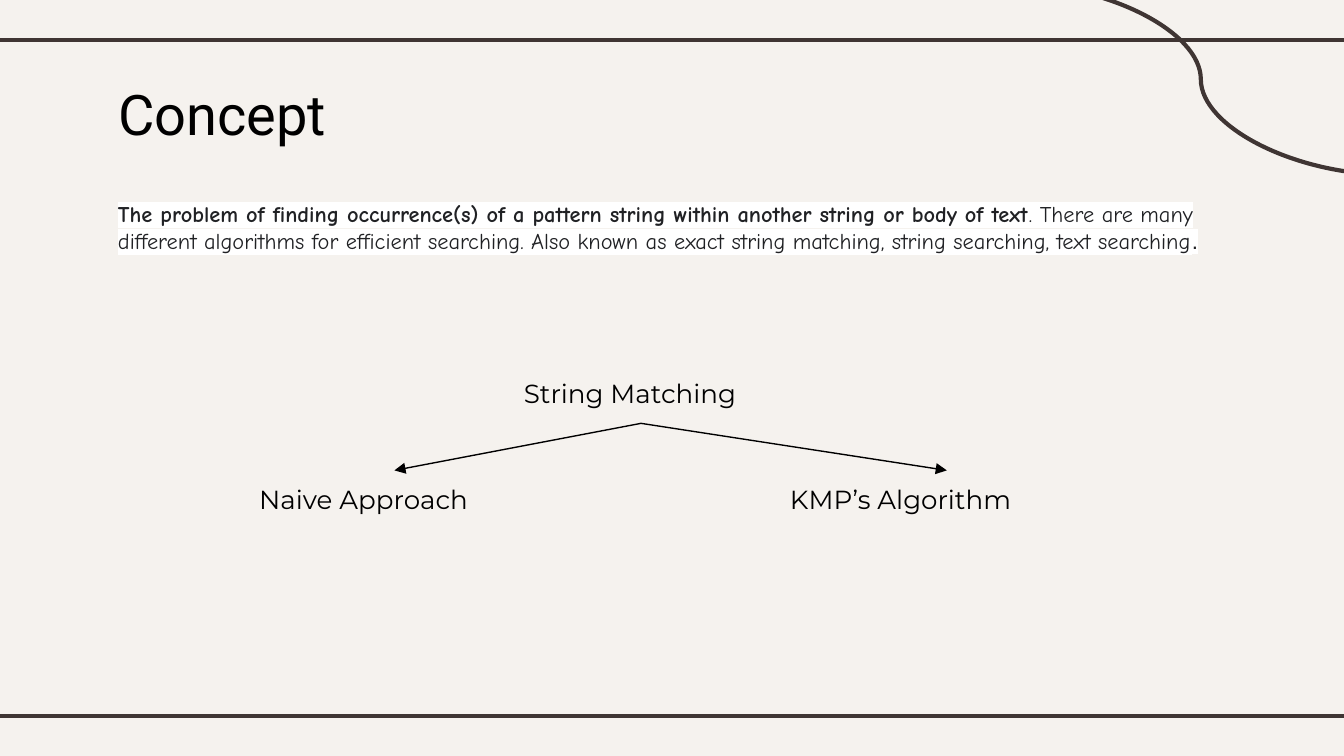
from pptx import Presentation
from pptx.dml.color import RGBColor
from pptx.enum.shapes import MSO_CONNECTOR as LINK
from pptx.enum.text import MSO_ANCHOR as ANCHOR
from pptx.oxml.ns import qn
from pptx.util import Inches, Pt
from lxml.etree import SubElement, Element

COLORS = {
    "background": "F5F2EE",
    "rule": "3F3533",
    "text": "000000",
    "body": "202124",
    "highlight": "FFFFFF",
}


def color(name):
    return RGBColor.from_string(COLORS[name])


def add_span(para, text, font="Montserrat", size=14, fill="text", bold=False, highlight=None):
    span = para.add_run()
    span.text = text
    span.font.name = font
    span.font.size = Pt(size)
    span.font.bold = bold
    span.font.color.rgb = color(fill)
    if highlight:
        mark = Element(qn("a:highlight"))
        SubElement(mark, qn("a:srgbClr"), val=COLORS[highlight])
        span.font._element.find(qn("a:solidFill")).addnext(mark)


def add_text(page, left, top, width, height, spans, **text_format):
    """Add a text box; spans is a list of (text, format overrides)."""
    box = page.shapes.add_textbox(Inches(left), Inches(top), Inches(width), Inches(height))
    frame = box.text_frame
    frame.word_wrap = True
    frame.vertical_anchor = ANCHOR.TOP
    frame.margin_left = frame.margin_right = Inches(0.1)
    frame.margin_top = frame.margin_bottom = Inches(0.1)
    for text, overrides in spans:
        add_span(frame.paragraphs[0], text, **{**text_format, **overrides})
    return box


def add_line(page, start, end, kind=LINK.STRAIGHT, stroke="rule", weight=2.25, arrow=False):
    line = page.shapes.add_connector(kind, *(Inches(value) for value in (*start, *end)))
    line.line.color.rgb = color(stroke)
    line.line.width = Pt(weight)
    if arrow:
        SubElement(line.line._get_or_add_ln(), qn("a:tailEnd"), type="triangle")
    SubElement(line._element.spPr, qn("a:effectLst"))
    return line


def add_frame(page, width):
    """Draw the two horizontal rules and the curve in the top right corner."""
    overhang = 0.08
    for y in (0.3, 5.33):
        add_line(page, (-overhang, y), (width + overhang, y))
    add_line(page, (width - 2.47, -0.12), (width + 0.34, 1.3), kind=LINK.CURVE)


def add_concept(page, left, top, width):
    add_text(page, left, top, 5.15, 0.63, [("Concept", {})], font="Roboto", size=30)
    add_text(
        page, left, top + 0.9, width, 3.6,
        [
            ("The problem of finding occurrence(s) of a pattern string within "
             "another string or body of text", {"bold": True}),
            (". There are many different algorithms for efficient searching. Also known as "
             "exact string matching, string searching, text searching", {}),
            (".", {"font": "Arial"}),
        ],
        font="Comic Neue", size=12, fill="body", highlight="highlight",
    )


def add_tree(page, left, top):
    """Draw the topic with an arrow down to each of its two methods."""
    label_height = 0.44
    root = add_text(page, left + 1.97, top, 1.94, label_height, [("String Matching", {})])
    methods = (("Naive Approach", 0, 2.21), ("KMP’s Algorithm", 3.95, 2.53))
    for name, offset, width in methods:
        method = add_text(page, left + offset, top + 0.79, width, label_height, [(name, {})])
        arrow = add_line(page, (0, 0), (1, 1), stroke="text", weight=0.75, arrow=True)
        arrow.begin_connect(root, 2)
        arrow.end_connect(method, 0)


def main():
    width = 10
    deck = Presentation()
    deck.slide_width = Inches(width)
    deck.slide_height = Inches(width * 9 / 16)
    page = deck.slides.add_slide(deck.slide_layouts[6])
    page.background.fill.solid()
    page.background.fill.fore_color.rgb = color("background")
    add_frame(page, width)
    add_concept(page, 0.78, 0.49, 8.44)
    add_tree(page, 1.83, 2.71)
    deck.save("out.pptx")


if __name__ == "__main__":
    main()
